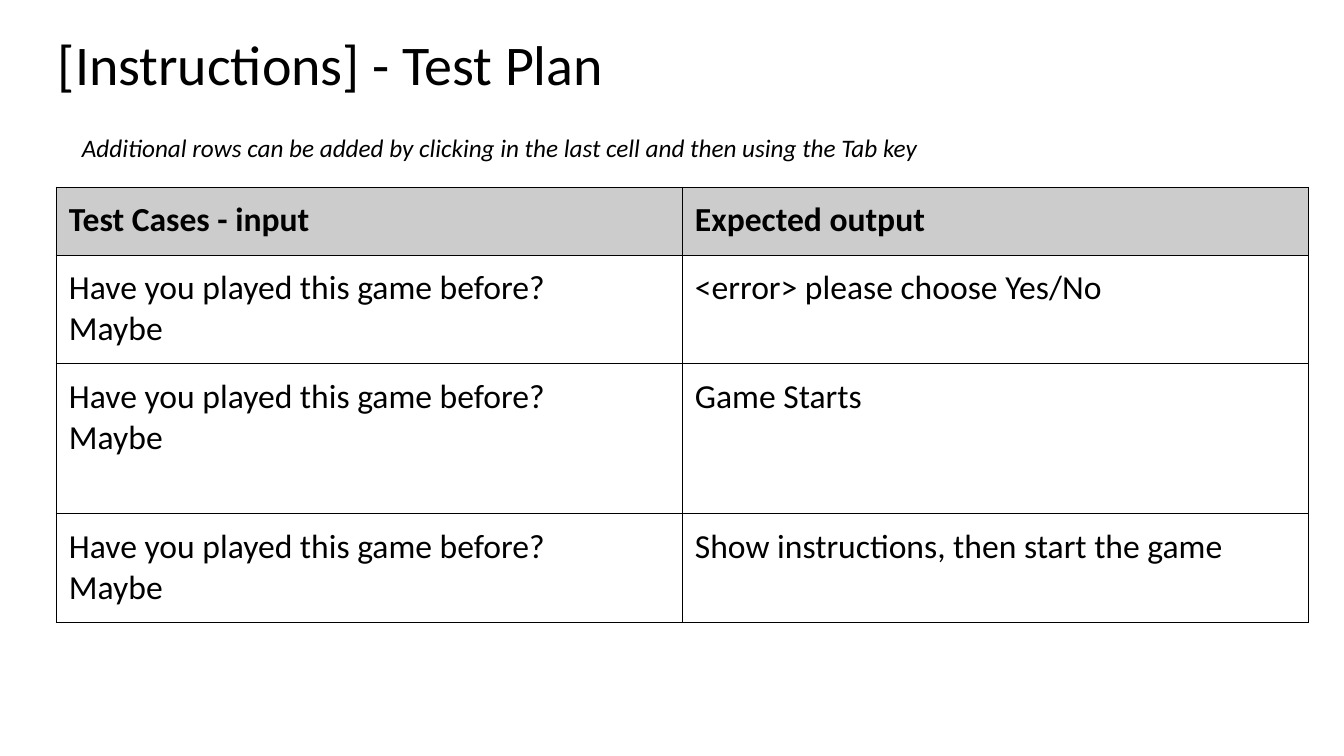
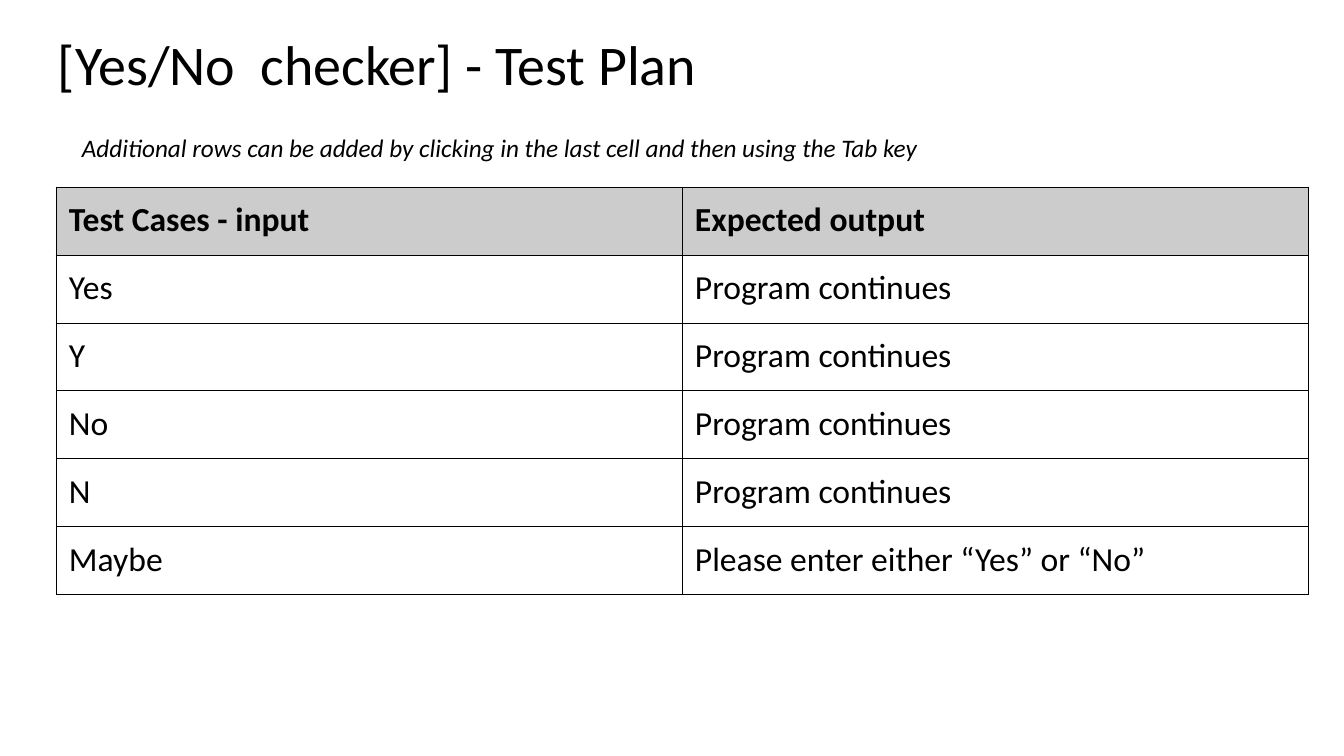
from dataclasses import dataclass
from lxml.etree import SubElement as Sub
from pptx import Presentation
from pptx.dml.color import RGBColor as RGB
from pptx.enum.text import MSO_ANCHOR as Anchor, MSO_AUTO_SIZE as AutoSize
from pptx.oxml.ns import qn
from pptx.util import Pt

PX = 12192000 / 1344  # EMU in one px


@dataclass(frozen=True)
class Theme:
    font: str = "Calibri"
    ink: str = "000000"
    header: str = "CCCCCC"
    title: int = 40
    note: int = 18
    cell: int = 24
    border: float = 0.75


T = Theme()
INSET = 13
MARGINS = {f"margin_{side}": round(INSET * PX) for side in ("left", "top", "right", "bottom")}
TITLE_BOX = (45, 24, 1252, 85)
NOTE_BOX = (72, 127, 1103, 40)
TABLE_X, TABLE_Y, COL_W, ROW_H = 56, 187, 626, 68

NOTE = "Additional rows can be added by clicking in the last cell and then using the Tab key"
HEADER = ("Test Cases - input", "Expected output")
QUESTION = "Have you played this game before?\nMaybe"

# Each row: input, expected output, height in px
PLANS = [
    ("[Instructions] - Test Plan", [
        (QUESTION, "<error> please choose Yes/No", 109),
        (QUESTION, "Game Starts", 150),
        (QUESTION, "Show instructions, then start the game", 109),
    ]),
    ("[Yes/No  checker] - Test Plan", [
        *((answer, "Program continues", ROW_H) for answer in ("Yes", "Y", "No", "N")),
        ("Maybe", "Please enter either “Yes” or “No”", ROW_H),
    ]),
]


def px(*lengths):
    return [round(n * PX) for n in lengths]


def write(tf, text, size, **formats):
    """Fill a text frame, one paragraph per line, in the theme font."""
    tf.text = text
    tf.word_wrap = True
    for p in tf.paragraphs:
        for r in p.runs:
            for name, value in {"name": T.font, "size": Pt(size), **formats}.items():
                setattr(r.font, name, value)
            r.font.color.rgb = RGB.from_string(T.ink)


prs = Presentation()
prs.slide_width, prs.slide_height = px(1344, 756)

for title, cases in PLANS:
    s = prs.slides.add_slide(prs.slide_layouts[6])

    # Title
    tf = s.shapes.add_textbox(*px(*TITLE_BOX)).text_frame
    write(tf, title, T.title)
    tf.paragraphs[0].line_spacing = 0.9
    for name, value in MARGINS.items():
        setattr(tf, name, value)

    # Test case table
    rows = [(*HEADER, ROW_H), *cases]
    height = sum(row[-1] for row in rows)
    box = px(TABLE_X, TABLE_Y, COL_W * len(HEADER), height)
    table = s.shapes.add_table(len(rows), len(HEADER), *box).table
    table.horz_banding = False
    for i, (*texts, row_h) in enumerate(rows):
        table.rows[i].height = px(row_h)[0]
        for j, text in enumerate(texts):
            cell = table.cell(i, j)
            write(cell.text_frame, text, T.cell, bold=i == 0)
            for name, value in {**MARGINS, "vertical_anchor": Anchor.TOP}.items():
                setattr(cell, name, value)
            # Borders come before the fill in the cell properties
            tc_pr = cell._tc.get_or_add_tcPr()
            for edge in "LRTB":
                ln = Sub(tc_pr, qn(f"a:ln{edge}"), w=str(Pt(T.border)))
                Sub(Sub(ln, qn("a:solidFill")), qn("a:srgbClr"), val=T.ink)
            if i == 0:
                cell.fill.solid()
                cell.fill.fore_color.rgb = RGB.from_string(T.header)
            else:
                cell.fill.background()

    # Note above the table
    tf = s.shapes.add_textbox(*px(*NOTE_BOX)).text_frame
    write(tf, NOTE, T.note, italic=True)
    tf.auto_size = AutoSize.SHAPE_TO_FIT_TEXT

prs.save("out.pptx")
